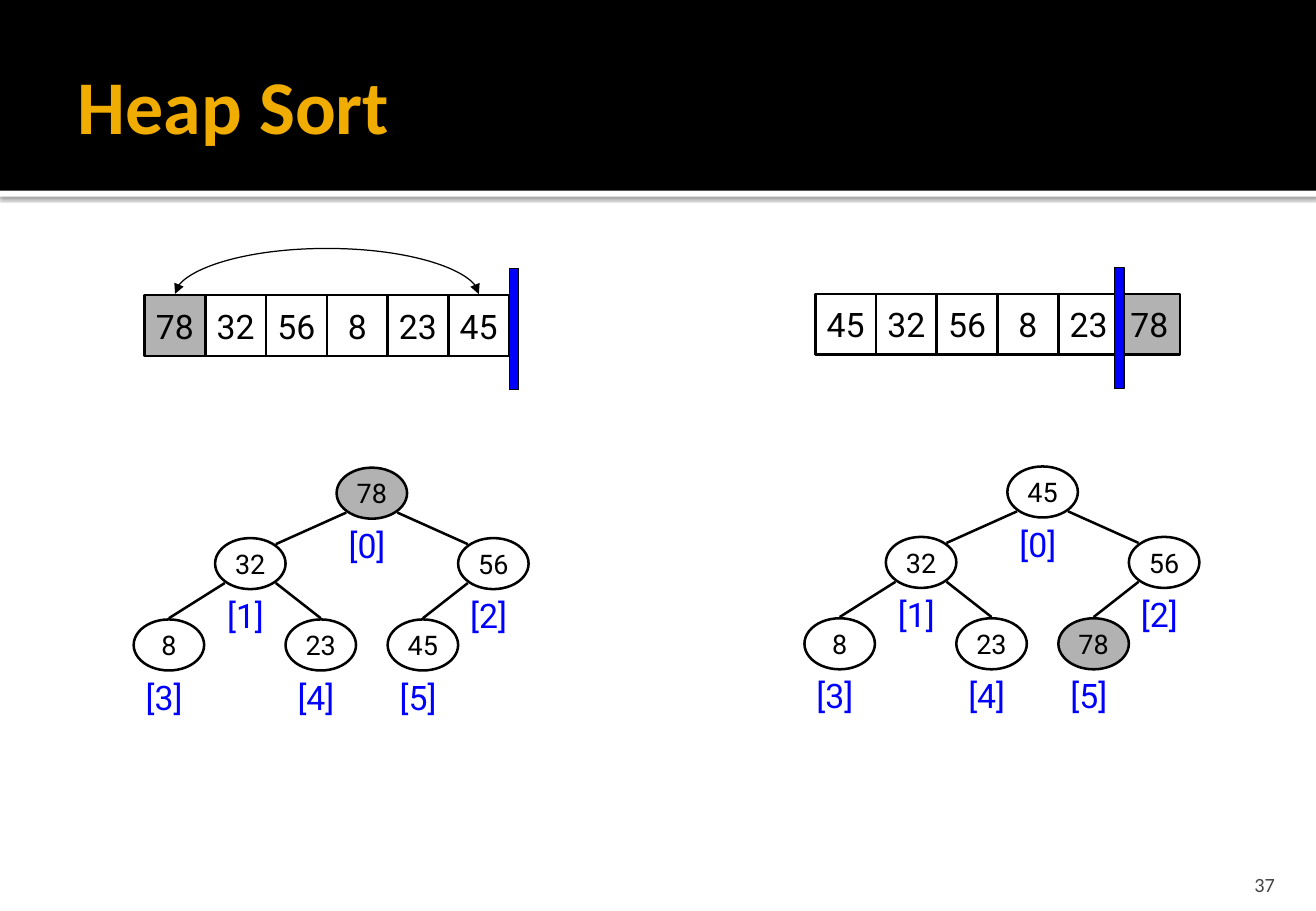
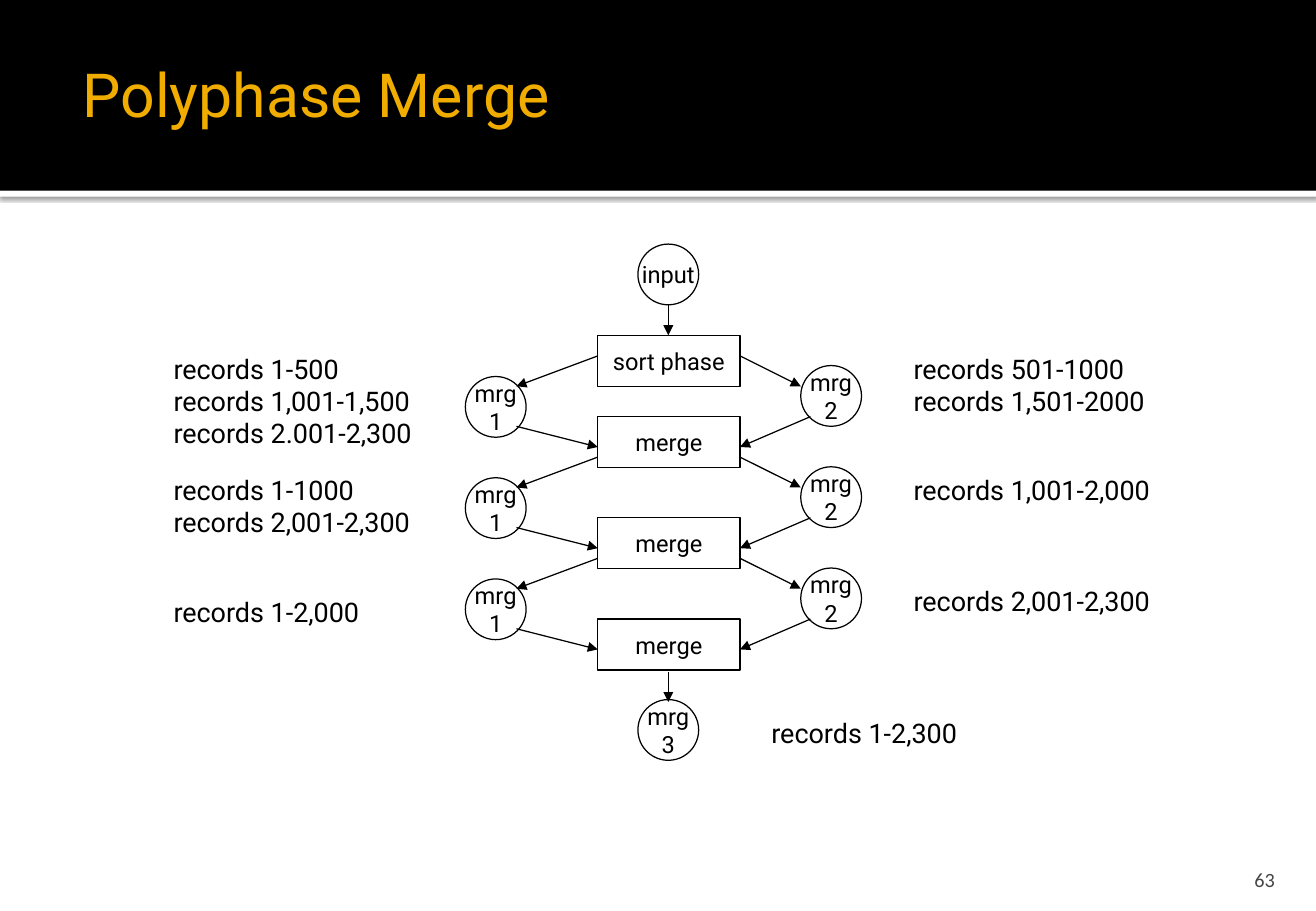
import pptx
import pptx.dml.color
import pptx.enum.shapes
import pptx.enum.text
import pptx.oxml.ns
import pptx.util
from lxml import etree

Inches = pptx.util.Inches
Pt = pptx.util.Pt
SHAPE = pptx.enum.shapes.MSO_SHAPE
CONNECTOR = pptx.enum.shapes.MSO_CONNECTOR
ALIGN = pptx.enum.text.PP_ALIGN
ANCHOR = pptx.enum.text.MSO_ANCHOR

WIDTH, HEIGHT = 10.83, 7.5
BLACK, WHITE, GOLD = "000000", "FFFFFF", "F0AD00"
GREY, BLUE, FOOTER = "B2B2B2", "0000FF", "454545"
HEADING, BODY = "Calibri", "Roboto"


# Helpers
def colour(value):
    return pptx.dml.color.RGBColor.from_string(value)


def add_xml(parent, tag, **attributes):
    """Append a DrawingML element to parent."""
    element = etree.SubElement(parent, pptx.oxml.ns.qn(tag))
    for name, value in attributes.items():
        element.set(name, str(value))
    return element


def set_text(box, text, size, font=BODY, ink=BLACK, align=ALIGN.LEFT,
             anchor=ANCHOR.TOP, wrap=True, bold=False,
             margins=(0.1, 0.05, 0.1, 0.05)):
    frame = box.text_frame
    frame.text = text
    frame.word_wrap = wrap
    frame.auto_size = pptx.enum.text.MSO_AUTO_SIZE.NONE
    frame.vertical_anchor = anchor
    (frame.margin_left, frame.margin_top,
     frame.margin_right, frame.margin_bottom) = map(Inches, margins)
    for para in frame.paragraphs:
        para.alignment = align
        para.font.name = font
        para.font.size = Pt(size)
        para.font.bold = bold
        para.font.color.rgb = colour(ink)


def place(box, left, top, width, height):
    box.left, box.top = Inches(left), Inches(top)
    box.width, box.height = Inches(width), Inches(height)


def add_shape(page, kind, left, top, width, height, fill=None, line=None,
              text="", size=14):
    shape = page.shapes.add_shape(
        kind, *map(Inches, (left, top, width, height)))
    shape.shadow.inherit = False
    if fill:
        shape.fill.solid()
        shape.fill.fore_color.rgb = colour(fill)
    else:
        shape.fill.background()
    if line:
        shape.line.width = Pt(line)
        shape.line.color.rgb = colour(BLACK)
    else:
        shape.line.fill.background()
    if text:
        set_text(shape, text, size, align=ALIGN.CENTER,
                 anchor=ANCHOR.MIDDLE, wrap=False)
    return shape


def add_label(page, left, top, width, height, text, size, **style):
    box = page.shapes.add_textbox(*map(Inches, (left, top, width, height)))
    set_text(box, text, size, **style)


def add_line(page, start, end, weight, arrows=(), kind=CONNECTOR.STRAIGHT):
    line = page.shapes.add_connector(kind, *map(Inches, (*start, *end)))
    line.line.width = Pt(weight)
    line.line.color.rgb = colour(BLACK)
    outline = line.line._get_or_add_ln()
    for arrow in arrows:
        add_xml(outline, arrow, type="triangle")
    add_xml(line.element.spPr, "a:effectLst")
    return line


# What both slides share
def add_bands(page):
    """Draw the title band and its rule, then move them to the layout."""
    rule = add_shape(page, SHAPE.RECTANGLE, 0, 1.57, WIDTH, 0.05, WHITE)
    effects = rule.element.spPr.find(pptx.oxml.ns.qn("a:effectLst"))
    shadow = add_xml(effects, "a:outerShdw", blurRad=Pt(2.5), dist=Pt(0.8),
                     dir=90 * 60000, algn="tl", rotWithShape=0)
    add_xml(add_xml(shadow, "a:srgbClr", val=BLACK), "a:alpha", val=60000)
    band = add_shape(page, SHAPE.RECTANGLE, 0, 0, WIDTH, 1.57, BLACK)
    tree = page.slide_layout.shapes.element
    for shape in (band, rule):
        tree.insert(2, shape.element)


def add_page(deck, title, title_box, number, number_top, **title_style):
    page = deck.slides.add_slide(deck.slide_layouts[5])
    place(page.shapes.title, *title_box)
    set_text(page.shapes.title, title, ink=GOLD, **title_style)
    add_label(page, 9.72, number_top, 0.87, 0.3, number, 12, font=HEADING,
              ink=FOOTER, align=ALIGN.RIGHT, anchor=ANCHOR.BOTTOM,
              margins=(0.1, 0.05, 0.1, 0))
    return page


# Heap slide
CELL = 0.5
NODE_W, NODE_H = 0.58, 0.42
NODE_OFFSETS = [(1.67, 1.42), (0.67, 2), (2.67, 2),
                (0, 2.67), (1.25, 2.67), (2.09, 2.67)]


def add_array(page, left, top, values, marked, divider):
    for index, value in enumerate(values):
        add_shape(page, SHAPE.RECTANGLE, left + index * CELL, top, CELL, CELL,
                  GREY if value == marked else None, 1.5, str(value), 20)
    add_shape(page, SHAPE.RECTANGLE, left + divider, top - 0.22, 0.08, 1,
              BLUE, 0.75)


def add_tree(page, left, top, values, marked):
    spots = [(left + x, top + y) for x, y in NODE_OFFSETS]
    for index, (value, (x, y)) in enumerate(zip(values, spots)):
        add_shape(page, SHAPE.OVAL, x, y, NODE_W, NODE_H,
                  GREY if value == marked else None, 1.5, str(value), 16)
        add_label(page, x, y + NODE_H, NODE_W, 0.43, f"[{index}]", 20,
                  ink=BLUE)
        if index == 0:
            continue
        # Odd nodes are left children, even nodes right children
        parent_x, parent_y = spots[(index - 1) // 2]
        near, far = (0.08, 0.5) if index % 2 else (0.5, 0.08)
        end = (x + far, y + 0.05) if index < 3 else (x + NODE_W / 2, y - 0.01)
        add_line(page, (parent_x + near, parent_y + 0.37), end, 1.5)


def add_swap_arc(page, left, right, y, rise):
    """Curved double arrow, made as an upright connector turned by 90°."""
    middle, half, thin = (left + right) / 2, (right - left) / 2, 0.002
    arc = add_line(page, (middle, y + half), (middle + thin, y - half), 0.75,
                   ("a:headEnd", "a:tailEnd"), CONNECTOR.CURVE)
    properties = arc.element.spPr
    properties.find(pptx.oxml.ns.qn("a:xfrm")).set("rot", str(90 * 60000))
    geometry = properties.find(pptx.oxml.ns.qn("a:prstGeom"))
    guides = geometry.find(pptx.oxml.ns.qn("a:avLst"))
    if guides is None:
        guides = add_xml(geometry, "a:avLst")
    add_xml(guides, "a:gd", name="adj1",
            fmla=f"val {round(-rise / thin * 100000)}")


def add_heap(page, left, top, values, divider):
    marked = max(values)
    add_array(page, left + 0.09, top, values, marked, divider)
    add_tree(page, left, top, values, marked)


def heap_slide(deck):
    page = add_page(deck, "Heap Sort", (0.54, 0.17, 9.75, 1.37), "37", 7.08,
                    size=45, font=HEADING, bold=True, anchor=ANCHOR.MIDDLE,
                    margins=(0.1, 0.05, 0.05, 0.05))
    add_heap(page, 1.1, 2.43, [78, 32, 56, 8, 23, 45], 3)
    add_heap(page, 6.62, 2.42, [45, 32, 56, 8, 23, 78], 2.46)
    add_swap_arc(page, 1.44, 3.94, 2.42, 0.38)
    return page


# Merge slide
STEP_W, STEP_H, TAPE = 1.17, 0.42, 0.5
RECORDS = [
    (1.33, 2.85, "records 1-500\nrecords 1,001-1,500\nrecords 2.001-2,300"),
    (7.42, 2.85, "records 501-1000\nrecords 1,501-2000"),
    (1.33, 3.85, "records 1-1000\nrecords 2,001-2,300"),
    (7.42, 3.85, "records 1,001-2,000"),
    (1.33, 4.85, "records 1-2,000"),
    (7.42, 4.76, "records 2,001-2,300"),
    (6.25, 5.85, "records 1-2,300"),
]


def add_step(page, left, top, text):
    add_shape(page, SHAPE.RECTANGLE, left, top, STEP_W, STEP_H, None, 0.75,
              text)


def add_tape(page, left, top, text):
    add_shape(page, SHAPE.OVAL, left, top, TAPE, TAPE, None, 0.75, text)


def add_arrow(page, start, end):
    add_line(page, start, end, 0.75, ("a:tailEnd",))


def add_merge_stage(page, left, top):
    """One merge step with its two tapes and the arrows around them."""
    right = left + STEP_W
    add_step(page, left, top, "merge")
    add_tape(page, left - 1.09, top - 0.33, "mrg\n1")
    add_tape(page, right + 0.5, top - 0.42, "mrg\n2")
    add_arrow(page, (left, top - 0.5), (left - 0.67, top - 0.25))
    add_arrow(page, (right, top - 0.5), (right + 0.5, top - 0.25))
    add_arrow(page, (left - 0.67, top + 0.08), (left, top + 0.25))
    add_arrow(page, (right + 0.58, top), (right, top + 0.25))


def merge_slide(deck):
    page = add_page(deck, "Polyphase Merge", (0.58, 0.42, 4.42, 0.71), "63",
                    7.04, size=36)
    left, middle = 4.92, 5.5
    add_tape(page, middle - TAPE / 2, 2.01, "input")
    add_arrow(page, (middle, 2.51), (middle, 2.76))
    add_step(page, left, 2.76, "sort phase")
    for stage in range(3):
        add_merge_stage(page, left, 3.43 + stage * 2.5 / 3)
    add_arrow(page, (middle, 5.53), (middle, 5.78))
    add_tape(page, middle - TAPE / 2, 5.76, "mrg\n3")
    for x, y, text in RECORDS:
        add_label(page, x, y, 2.33, 0.9, text, 16)


def main():
    deck = pptx.Presentation()
    deck.slide_width, deck.slide_height = Inches(WIDTH), Inches(HEIGHT)
    add_bands(heap_slide(deck))
    merge_slide(deck)
    deck.save("out.pptx")


if __name__ == "__main__":
    main()
